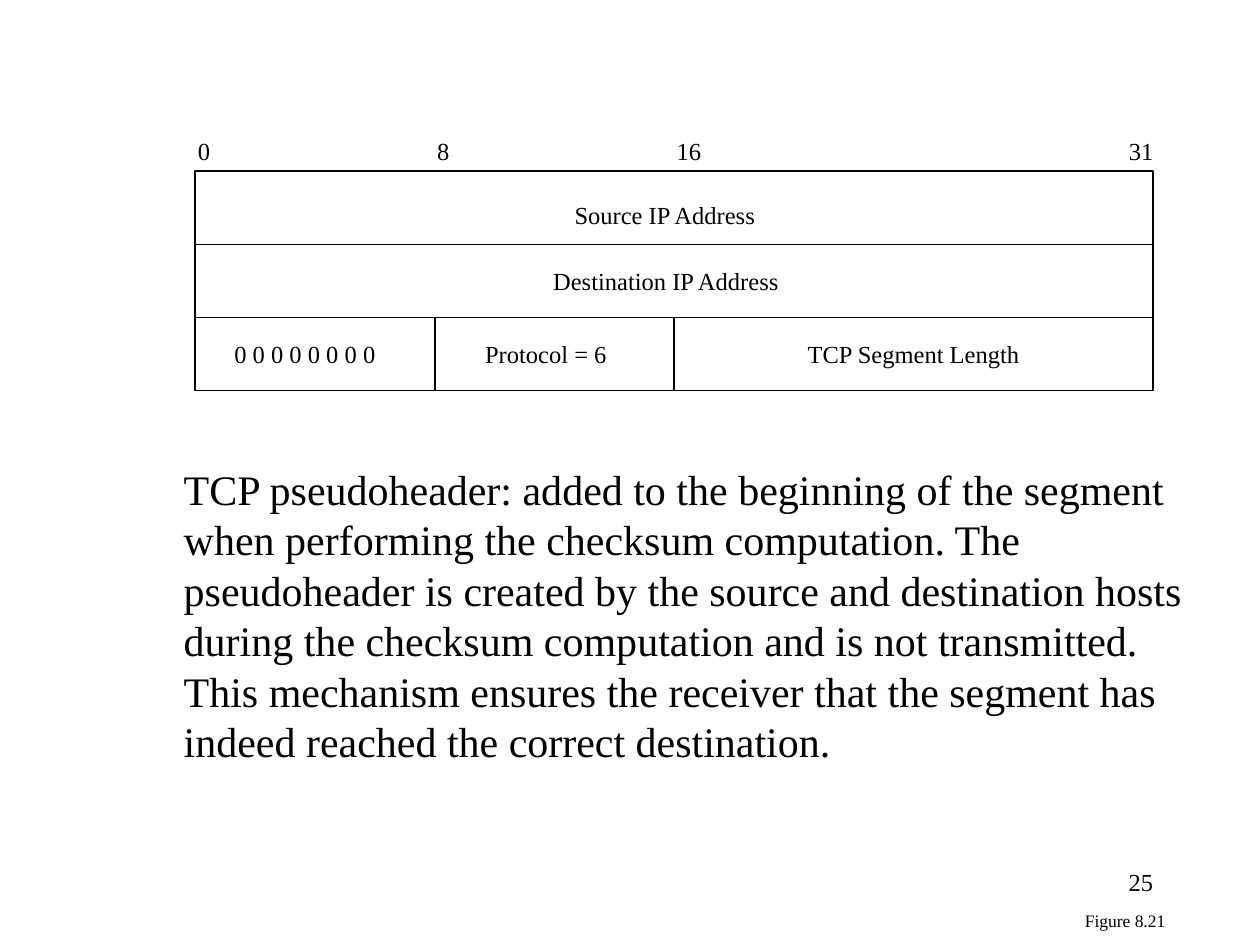
from pptx import Presentation
from pptx import util as u
from pptx.dml.color import RGBColor
from pptx.enum import shapes, text
from pptx.oxml.ns import qn
from lxml import etree

BLACK = RGBColor(0, 0, 0)
FONT = "Times New Roman"
LEFT, TOP, COL, ROW = 1.55, 1.36, 1.9, 0.58  # a column holds 8 bits
COLS, ROWS = 4, 3
WIDE, TALL = COL * COLS, ROW * ROWS
INSET = (0.1, 0.05)

BITS = ["0", "8", "16", "31"]
FIELDS = ["0 0 0 0 0 0 0 0", "Protocol = 6", "TCP Segment Length"]
NOTE = [
    "TCP pseudoheader: added to the beginning of the segment",
    "when performing the checksum computation. The",
    "pseudoheader is created by the source and destination hosts",
    "during the checksum computation and is not transmitted.",
    "This mechanism ensures the receiver that the segment has",
    "indeed reached the correct destination.",
]
# lines, (left, top, width, height), format
LABELS = [
    (["\t".join(FIELDS)], (1.86, 2.69, 6.26, 0.23), dict(tabs=[1.99, 4.55])),
    (["Source IP Address"], (4.56, 1.59, 1.45, 0.23), {}),
    (["Destination IP Address"], (4.39, 2.11, 1.81, 0.23), {}),
    (["\t".join(BITS)], (1.57, 1.08, 7.61, 0.23), dict(tabs=[COL, 2 * COL, 7.39])),
    (["Figure 8.21"], (8.51, 7.17, 0.84, 0.27),
     dict(size=10, align=text.PP_ALIGN.CENTER, inset=INSET, before=6.2,
          anchor=text.MSO_ANCHOR.MIDDLE)),
    (NOTE, (1.36, 3.63, 8.2, 2.5), dict(size=24, inset=INSET)),
    (["25"], (7.17, 6.83, 2.08, 0.5),
     dict(align=text.PP_ALIGN.RIGHT, inset=INSET, wrap=True)),
]
# column and row of each end
RULES = [((0, 1), (4, 1)), ((0, 2), (4, 2)), ((1, 3), (1, 2)), ((2, 3), (2, 2))]


def ink(line):
    line.color.rgb = BLACK
    line.width = u.Pt(1)


def spot(col, row):
    return u.Inches(LEFT + col * COL), u.Inches(TOP + row * ROW)


def rule(slide, start, end):
    line = slide.shapes.add_connector(
        shapes.MSO_CONNECTOR.STRAIGHT, *spot(*start), *spot(*end))
    ink(line.line)
    etree.SubElement(line._element.spPr, qn("a:effectLst"))


def label(slide, lines, box, size=14, align=text.PP_ALIGN.LEFT, inset=(0, 0),
          before=0, anchor=text.MSO_ANCHOR.TOP, wrap=False, tabs=()):
    frame = slide.shapes.add_textbox(*map(u.Inches, box)).text_frame
    side, edge = map(u.Inches, inset)
    form = dict(margin_left=side, margin_right=side, margin_top=edge,
                margin_bottom=edge, vertical_anchor=anchor,
                word_wrap=wrap or bool(tabs))
    for key, val in form.items():
        setattr(frame, key, val)
    frame.text = "\n".join(lines)
    for para in frame.paragraphs:
        para.alignment = align
        para.space_before = u.Pt(before)
        for key, val in dict(name=FONT, size=u.Pt(size)).items():
            setattr(para.runs[0].font, key, val)
        para.runs[0].font.color.rgb = BLACK
        if tabs:
            stops = etree.SubElement(para._p.get_or_add_pPr(), qn("a:tabLst"))
            for pos in tabs:
                etree.SubElement(stops, qn("a:tab"), pos=str(u.Inches(pos)), algn="l")


def main():
    deck = Presentation()
    deck.slide_width, deck.slide_height = u.Inches(10), u.Inches(7.5)
    slide = deck.slides.add_slide(deck.slide_layouts[6])
    header = slide.shapes.add_shape(
        shapes.MSO_SHAPE.RECTANGLE, *spot(0, 0), u.Inches(WIDE), u.Inches(TALL))
    header.shadow.inherit = False
    header.fill.background()
    ink(header.line)
    for ends in RULES:
        rule(slide, *ends)
    for lines, box, form in LABELS:
        label(slide, lines, box, **form)
    deck.save("out.pptx")


if __name__ == "__main__":
    main()
